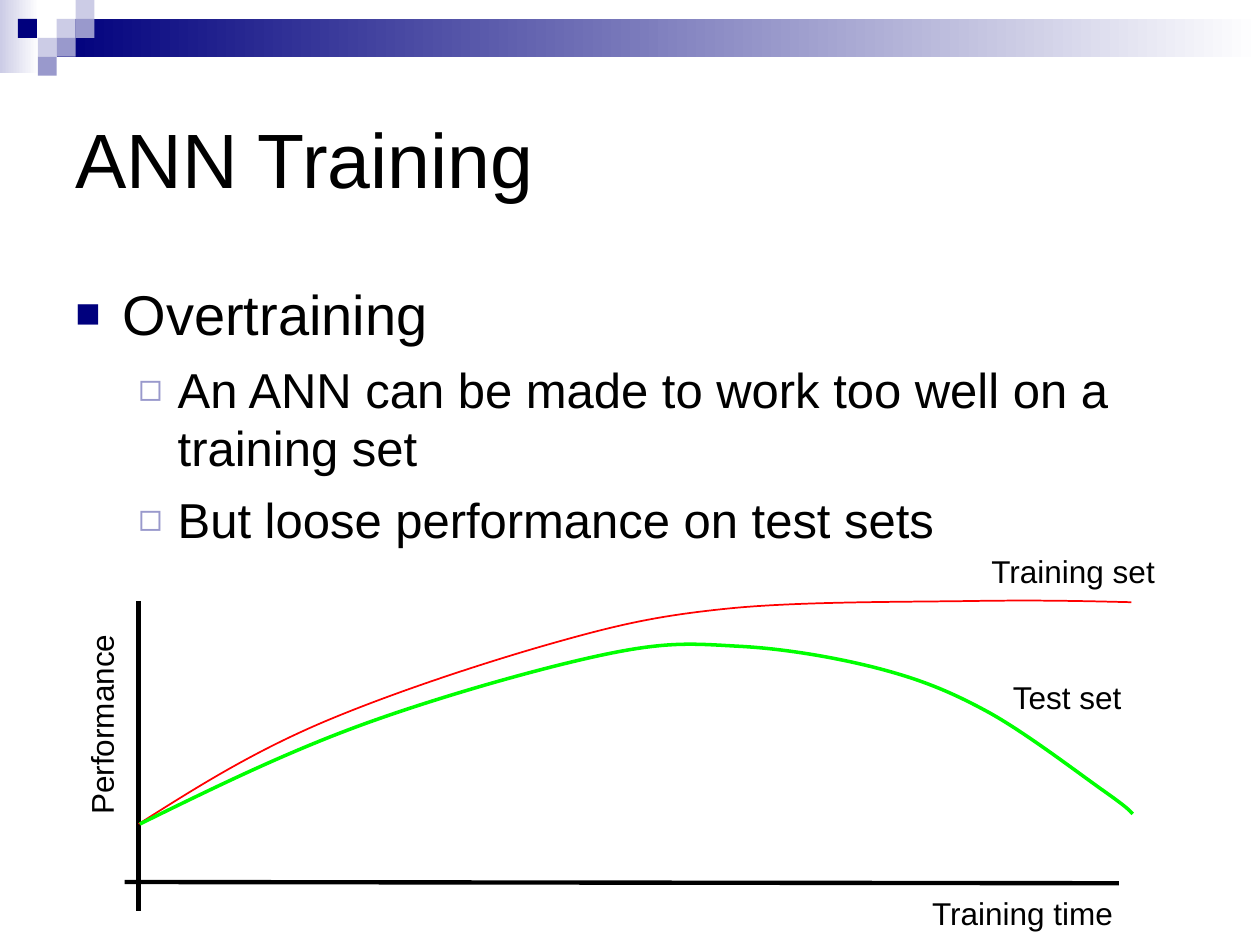
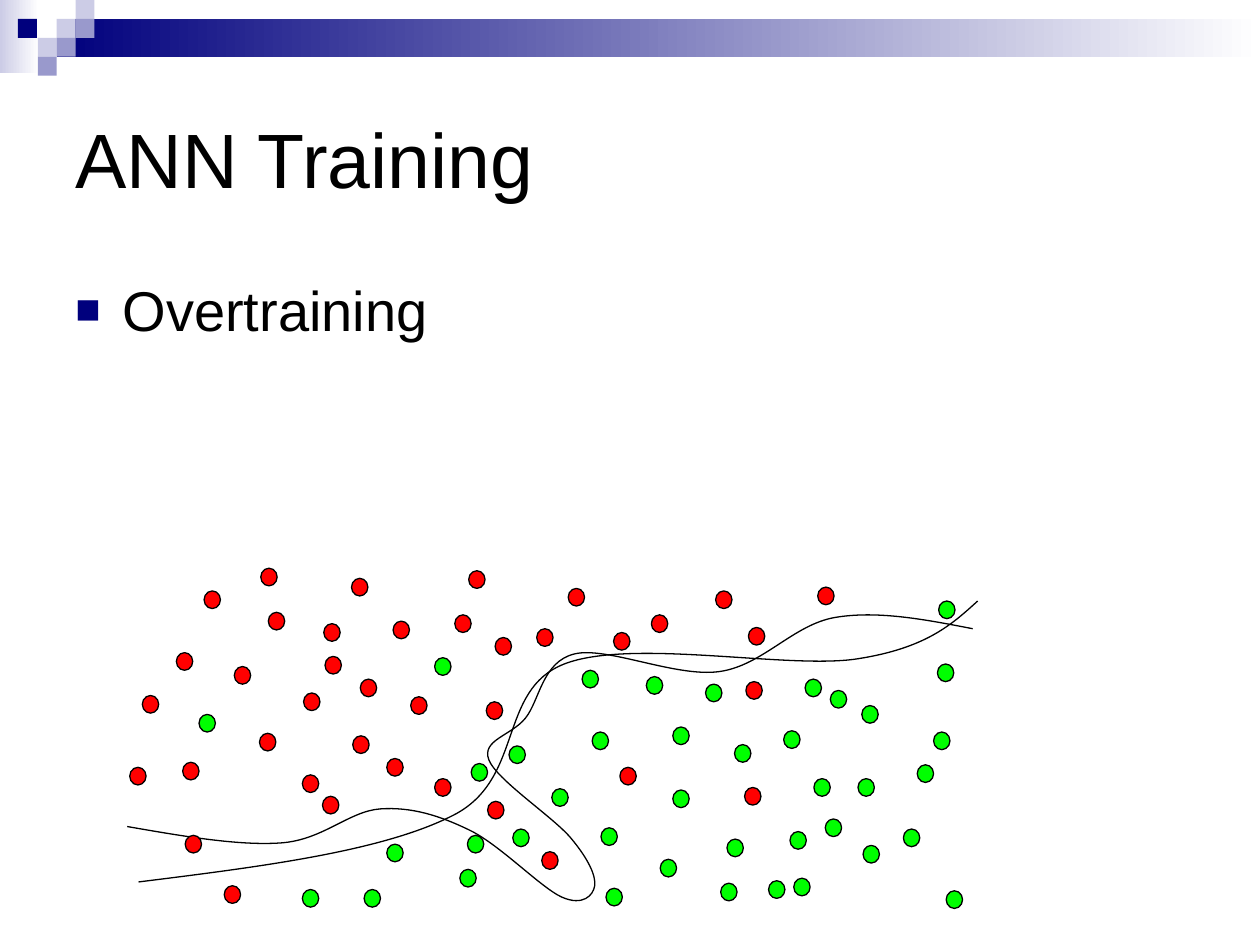
from collections import namedtuple
from dataclasses import dataclass

from lxml import etree
from pptx import Presentation
from pptx import util as u
from pptx.dml.color import RGBColor
from pptx.enum import shapes, text
from pptx.oxml import ns

COLS, ROWS = 100, 75          # slide grid
CELL = u.Inches(10) // COLS   # square cells

Box = namedtuple("Box", "x y w h")


@dataclass(frozen=True)
class Theme:
    font: str = "Arial"
    ink: str = "000000"
    navy: str = "00007D"
    mid: str = "9999CC"
    pale: str = "CCCCE6"
    white: str = "FFFFFF"
    red: str = "FF0000"
    green: str = "00FF00"
    title: int = 44
    label: int = 18
    axis: float = 2.5
    thin: float = 0.75


T = Theme()

# Body levels, in points: type size, space before, left margin and hang, bullet
LEVELS = [
    dict(size=32, gap=8, left=27, hang=27, mark="■", tint=T.navy, scale=75),
    dict(size=28, gap=7, left=58.5, hang=22.5, mark="◻", tint=T.mid, scale=80),
]


# ---- Basic helpers ----
def put(item, **vals):
    for name, val in vals.items():
        setattr(item, name, val)


def rgb(tint):
    return RGBColor.from_string(tint)


def cells(*nums):
    return [u.Emu(round(n * CELL)) for n in nums]


def within(box, x, y, w, h):
    """A box whose corner is counted from the corner of another."""
    return Box(box.x + x, box.y + y, w, h)


def stroke(item, tint, width):
    item.line.color.rgb = rgb(tint)
    item.line.width = u.Pt(width)


def shape(host, kind, box, fill):
    item = host.shapes.add_shape(kind, *cells(*box))
    item.shadow.inherit = False
    item.line.fill.background()
    if isinstance(fill, tuple):
        item.fill.gradient()
        item.fill.gradient_angle = 180
        for stop, tint in zip(item.fill.gradient_stops, fill):
            stop.color.rgb = rgb(tint)
    else:
        item.fill.solid()
        item.fill.fore_color.rgb = rgb(fill)
    return item


def frame(slide, box, anchor=text.MSO_ANCHOR.TOP, turn=0):
    item = slide.shapes.add_textbox(*cells(*box))
    item.rotation = turn
    put(item.text_frame, word_wrap=True, vertical_anchor=anchor)
    return item.text_frame


def write(para, words, size):
    run = para.add_run()
    run.text = words
    put(run.font, name=T.font, size=u.Pt(size))
    run.font.color.rgb = rgb(T.ink)


def bullet(para, level):
    props = para._p.get_or_add_pPr()
    props.set("marL", str(u.Pt(level["left"])))
    props.set("indent", str(-u.Pt(level["hang"])))
    tint = etree.SubElement(props, ns.qn("a:buClr"))
    etree.SubElement(tint, ns.qn("a:srgbClr"), val=level["tint"])
    etree.SubElement(props, ns.qn("a:buSzPct"), val=str(level["scale"] * 1000))
    etree.SubElement(props, ns.qn("a:buFont"), typeface=T.font)
    etree.SubElement(props, ns.qn("a:buChar"), char=level["mark"])


def bends(knots):
    """Two handles and the end of each span; slopes follow the neighbours."""
    last = len(knots) - 1

    def handle(i, sign):
        before, after = knots[i - 1], knots[i + 1]
        return [k + sign * (b - a) / 6 for k, a, b in zip(knots[i], before, after)]

    def middle(p, q):
        return [(a + b) / 2 for a, b in zip(p, q)]

    for i in range(last):
        start, end = knots[i], knots[i + 1]
        out = handle(i, 1) if i else None
        back = handle(i + 1, -1) if i + 1 < last else middle(out, end)
        yield out or middle(start, back), back, end


def curve(slide, box, knots, tint, width):
    knots = [cells(box.x + x, box.y + y) for x, y in knots]
    pen = slide.shapes.build_freeform(*knots[0], scale=1.0)
    pen.add_line_segments(knots[1:], close=False)
    item = pen.convert_to_shape()
    # Bend each straight span
    spans = list(item._element.iter(ns.qn("a:lnTo")))
    for span, points in zip(spans, bends(knots)):
        arc = etree.Element(ns.qn("a:cubicBezTo"))
        for x, y in points:
            etree.SubElement(arc, ns.qn("a:pt"), x=str(round(x - item.left)),
                             y=str(round(y - item.top)))
        span.getparent().replace(span, arc)
    item.shadow.inherit = False
    item.fill.background()
    stroke(item, tint, width)


def axis(slide, box, x1, y1, x2, y2):
    ends = cells(box.x + x1, box.y + y1, box.x + x2, box.y + y2)
    item = slide.shapes.add_connector(shapes.MSO_CONNECTOR.STRAIGHT, *ends)
    stroke(item, T.ink, T.axis)
    etree.SubElement(item._element.spPr, ns.qn("a:effectLst"))


# ---- Shared regions ----
def banner(slide, box):
    """Draw the band as one group and hand it to the layout all slides use."""
    rect = shapes.MSO_SHAPE.RECTANGLE
    tile = box.h / 4
    group = slide.shapes.add_group_shape()
    shape(group, rect, within(box, 0, 0, 3.1, 5.8), (T.white, T.pale))
    shape(group, rect, within(box, 3 * tile, tile, box.w - 3 * tile, 2 * tile),
          (T.white, T.navy))
    # Mosaic tiles by column and row
    for col, row, tint in [(3, 1, T.pale), (4, 0, T.pale), (4, 1, T.mid),
                           (2, 2, T.pale), (0.95, 1, T.navy),
                           (3, 2, T.mid), (2, 3, T.mid)]:
        shape(group, rect, within(box, col * tile, row * tile, tile, tile), tint)
    slide.slide_layout.shapes._spTree.append(group._element)


def heading(slide, box, words):
    area = frame(slide, box, text.MSO_ANCHOR.MIDDLE)
    write(area.paragraphs[0], words, T.title)


def body(slide, box, items):
    area = frame(slide, box)
    for n, (depth, words) in enumerate(items):
        level = LEVELS[depth]
        para = area.add_paragraph() if n else area.paragraphs[0]
        bullet(para, level)
        put(para, level=depth, space_before=u.Pt(level["gap"] if n else 0))
        write(para, words, level["size"])


def page(deck, title, box, items):
    slide = deck.slides.add_slide(deck.slide_layouts[6])
    if len(deck.slides) == 1:
        banner(slide, Box(0, 0, COLS, 6))
    heading(slide, Box(5, 5, 90, 15), title)
    body(slide, box, items)
    return slide


# ---- Performance plot ----
TRAIN = [(1, 22.4), (15, 14.6), (33.7, 8.1), (47.8, 5.3), (67.2, 4.7), (79.8, 4.8)]
TEST = [(1.1, 22.4), (18.8, 14.5), (38.2, 8.9), (48.8, 8.3), (59.9, 10.1),
        (68.4, 13.5), (77.5, 19.7), (79.9, 21.6)]
LABELS = [("Training set", 67.7, 0.3, 15.5, 0), ("Test set", 69.4, 10.3, 15.5, 0),
          ("Performance", -10.6, 12, 17.3, 270), ("Training time", 63, 27.5, 20.7, 0)]


def plot(slide, box):
    axis(slide, box, 1, 4.7, 1, 29.3)
    axis(slide, box, -0.1, 27, 78.8, 27.1)
    curve(slide, box, TRAIN, T.red, 1)
    curve(slide, box, TEST, T.green, 2)
    for words, x, y, wide, turn in LABELS:
        area = frame(slide, within(box, x, y, wide, 4), turn=turn)
        write(area.paragraphs[0], words, T.label)


# ---- Class scatter with two borders ----
SMOOTH = [(1, 25), (26, 19.7), (34.8, 7.7), (58, 7.3), (67.6, 2.7)]
WAVY = [(0.1, 20.6), (12.3, 21.9), (20.2, 19.2), (27.3, 20.9), (34.6, 26.2),
        (37.2, 25.3), (35.3, 21.5), (28.8, 15.3), (31.7, 12), (35.6, 6.9),
        (47.1, 8.3), (56.3, 4), (67.2, 4.9)]
DOTS = {
    T.red: [
        (4, 6.8), (11.3, 3.6), (15.8, 7.1), (0.3, 15.9), (18, 13.4), (39.2, 15.9),
        (10.6, 13.2), (32.6, 4.9), (29.3, 5.6), (49.4, 4.8), (33, 22.6), (4.5, 15.5),
        (24.5, 16.8), (28.6, 10.7), (38.7, 5.2), (28.7, 18.6), (1.3, 10.2), (8.6, 7.9),
        (4.7, 21.3), (14, 16.5), (15.6, 18.2), (14.1, 10), (7.8, 25.3), (22.6, 10.3),
        (41.7, 3.8), (26.1, 3.8), (49.2, 9.1), (54.9, 1.6), (49.1, 17.5), (17.9, 0.9),
        (27.2, 0.3), (18.6, 8.9), (15.7, 4.5), (6.2, 1.9), (21.2, 4.3), (35.1, 1.7),
        (20.7, 15.2), (10.7, 0.1), (46.8, 1.9)],
    T.green: [
        (30.4, 14.2), (20.7, 22), (41.3, 8.7), (52.2, 13), (43.4, 17.7), (26.5, 24),
        (43.4, 12.7), (33.8, 17.6), (36.2, 8.2), (64.4, 7.7), (47.7, 21.6), (37.7, 20.7),
        (14, 25.6), (58.4, 11), (58.1, 16.8), (18.9, 25.6), (37, 13.1), (42.4, 23.2),
        (30.7, 20.8), (27.4, 15.6), (47.2, 25.1), (52.7, 21), (54.6, 16.8), (62.8, 15.7),
        (53, 24.7), (58.5, 22.1), (64.5, 2.7), (51, 24.9), (55.9, 9.8), (64.1, 13.1),
        (65.1, 25.7), (61.7, 20.8), (5.8, 11.7), (38.1, 25.5), (27.1, 21.3), (24.5, 7.2),
        (53.9, 8.9), (55.5, 20), (48.3, 14.1), (46, 9.3)],
}


def scatter(slide, box):
    for knots in (SMOOTH, WAVY):
        curve(slide, box, knots, T.ink, T.thin)
    for tint, spots in DOTS.items():
        for x, y in spots:
            dot = shape(slide, shapes.MSO_SHAPE.OVAL, within(box, x, y, 1.3, 1.4), tint)
            stroke(dot, T.ink, T.thin)


def main():
    deck = Presentation()
    put(deck, slide_width=COLS * CELL, slide_height=ROWS * CELL)
    title, topic = "ANN Training", (0, "Overtraining")

    slide = page(deck, title, Box(5, 21.7, 90, 27.5), [
        topic,
        (1, "An ANN can be made to work too well on a training set"),
        (1, "But loose performance on test sets")])
    plot(slide, Box(10, 43, 80, 32))

    slide = page(deck, title, Box(5, 21.35, 90, 22.5), [topic])
    scatter(slide, Box(10, 45, 68, 27))
    deck.save("out.pptx")


if __name__ == "__main__":
    main()
